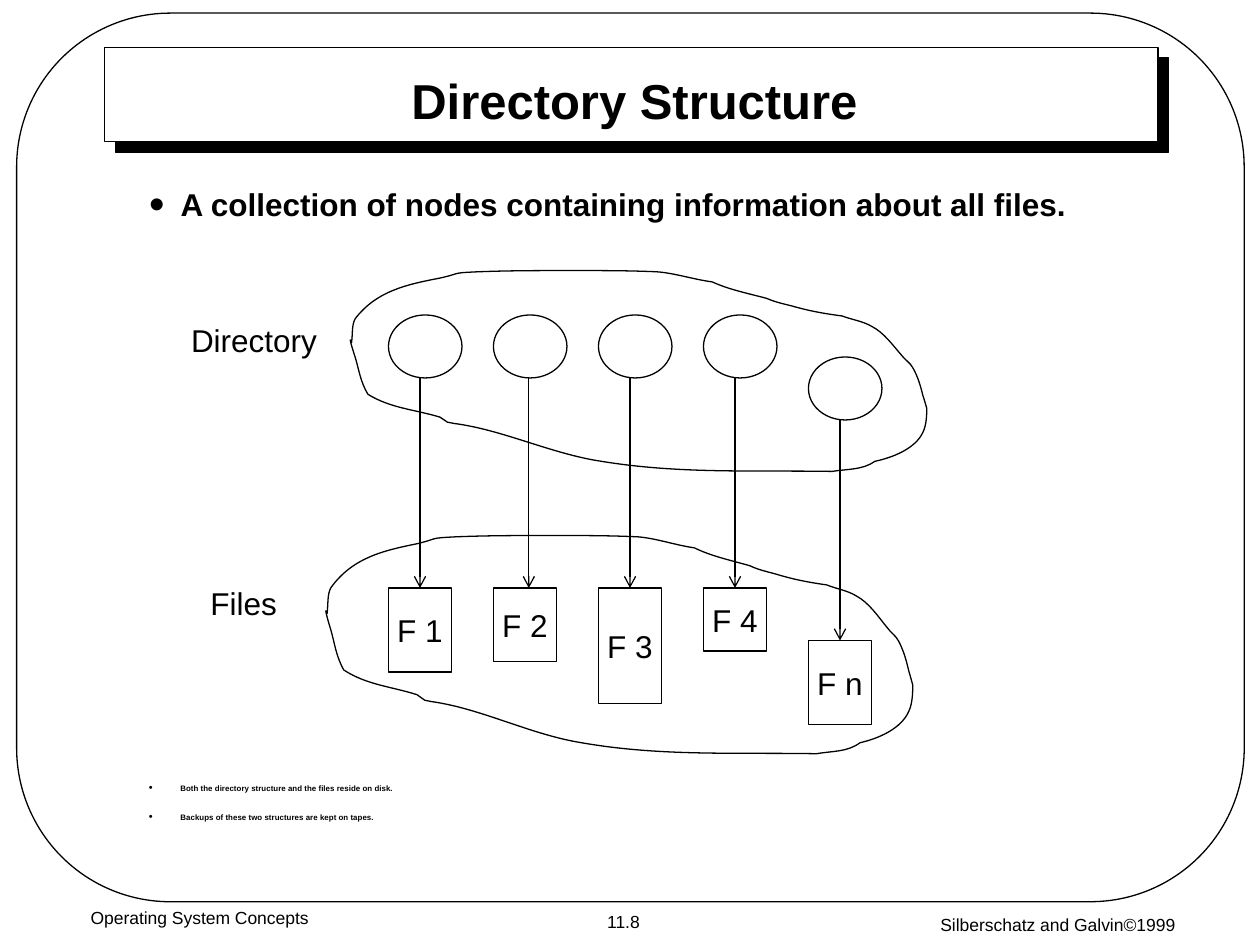
from lxml.etree import SubElement
from pptx import Presentation
from pptx.dml.color import RGBColor
from pptx.enum.shapes import MSO_CONNECTOR as CONNECTOR, MSO_SHAPE as SHAPE
from pptx.enum.text import MSO_ANCHOR as ANCHOR, MSO_AUTO_SIZE as AUTO, PP_ALIGN as ALIGN
from pptx.oxml.ns import qn
from pptx.util import Pt

COLORS = {"ink": "000000", "paper": "FFFFFF"}
LINE_WIDTH = 0.75
CLOUD_SIZE = (457, 160)
CLOUD_START = (1, 57)
CLOUD_CURVES = [
    (2, 50, 1, 43, 4, 38), (21, 16, 45, 11, 71, 6), (89, 2, 79, 2, 101, 1),
    (126, 0, 151, 0, 177, 0), (199, 0, 221, 0, 243, 1), (257, 2, 272, 7, 287, 9),
    (300, 15, 315, 18, 330, 22), (337, 25, 342, 26, 350, 28), (364, 32, 375, 34, 390, 36),
    (398, 39, 406, 40, 413, 44), (423, 49, 430, 59, 437, 67), (440, 71, 444, 73, 446, 77),
    (450, 84, 452, 91, 454, 99), (455, 102, 457, 109, 457, 109),
    (457, 113, 457, 122, 454, 128), (448, 141, 430, 148, 416, 151),
    (406, 158, 394, 157, 382, 159), (318, 158, 260, 161, 199, 151),
    (159, 145, 121, 126, 82, 121), (80, 121, 79, 120, 77, 120),
    (75, 119, 73, 117, 71, 116), (51, 110, 32, 109, 14, 98), (8, 88, 7, 79, 4, 69),
    (4, 69, 0, 57, 0, 55), (0, 54, 1, 56, 1, 57),
]
FILES = [
    ("F 1", 180, 336, 48, 240),
    ("F 2", 180, 336, 42, 302.2),
    ("F 3", 180, 336, 66, 360),
    ("F 4", 180, 336, 36, 420),
    ("F n", 204, 366, 48, 480),
]


def rgb(name):
    return RGBColor.from_string(COLORS[name])


def box(left, top, width, height):
    return Pt(left), Pt(top), Pt(width), Pt(height)


def place(sp, *bounds):
    for name, value in zip(("left", "top", "width", "height"), box(*bounds)):
        setattr(sp, name, value)


def outline(sp, fill="paper"):
    sp.shadow.inherit = False
    sp.line.color.rgb = rgb("ink")
    sp.line.width = Pt(LINE_WIDTH)
    if fill:
        sp.fill.solid()
        sp.fill.fore_color.rgb = rgb(fill)
    else:
        sp.fill.background()
    return sp


def add_outlined(s, kind, bounds, fill="paper"):
    return outline(s.shapes.add_shape(kind, *box(*bounds)), fill)


def add_bullet(p):
    pPr = p._p.get_or_add_pPr()
    pPr.set("marL", str(Pt(18)))
    pPr.set("indent", str(-Pt(18)))
    color = SubElement(pPr, qn("a:buClr"))
    SubElement(color, qn("a:srgbClr"), val=COLORS["ink"])
    SubElement(pPr, qn("a:buSzPct"), val="140000")
    SubElement(pPr, qn("a:buFont"), typeface="Arial")
    SubElement(pPr, qn("a:buChar"), char="•")


def write(sp, lines, size, bold=False, align=ALIGN.CENTER, anchor=ANCHOR.MIDDLE,
          wrap=True, auto=AUTO.NONE, before=0, bullets=False):
    tf = sp.text_frame
    frame = {"word_wrap": wrap, "auto_size": auto, "vertical_anchor": anchor}
    for name, value in frame.items():
        setattr(tf, name, value)
    for i, line in enumerate(lines):
        p = tf.add_paragraph() if i else tf.paragraphs[0]
        p.alignment = align
        p.space_before = Pt(before)
        if bullets:
            add_bullet(p)
        r = p.add_run()
        r.text = line
        r.font.color.rgb = rgb("ink")
        for name, value in {"name": "Arial", "size": Pt(size), "bold": bold}.items():
            setattr(r.font, name, value)


def add_label(s, text, bounds, size, **format_values):
    write(s.shapes.add_textbox(*box(*bounds)), [text], size, **format_values)


def add_title(s, text):
    title = s.shapes.title
    bar = add_outlined(s, SHAPE.RECTANGLE, (59.8, 27, 602, 54))
    effects = bar._element.spPr.find(qn("a:effectLst"))
    shadow = SubElement(effects, qn("a:outerShdw"), blurRad="0", dist=str(Pt(8.5)),
                        dir="2700000", algn="ctr", rotWithShape="0")
    SubElement(shadow, qn("a:srgbClr"), val=COLORS["ink"])
    title._element.addprevious(bar._element)
    place(title, 91.5, 39, 542, 36)
    write(title, [text], 28, bold=True)


def add_bullets(sp, lines, size):
    write(sp, lines, size, bold=True, align=ALIGN.LEFT, anchor=ANCHOR.TOP,
          before=11.2, bullets=True)


def add_arrow(s, x, top, bottom):
    line = s.shapes.add_connector(CONNECTOR.STRAIGHT, Pt(x), Pt(top), Pt(x), Pt(bottom))
    line.line.color.rgb = rgb("ink")
    line.line.width = Pt(LINE_WIDTH)
    SubElement(line.line._get_or_add_ln(), qn("a:tailEnd"), type="arrow")
    SubElement(line._element.spPr, qn("a:effectLst"))


def add_path_step(outline_path, tag, values):
    step = SubElement(outline_path, qn(tag))
    for x, y in zip(values[::2], values[1::2]):
        SubElement(step, qn("a:pt"), x=str(x), y=str(y))


def add_cloud(s, *bounds):
    builder = s.shapes.build_freeform(0, 0)
    builder.add_line_segments([CLOUD_SIZE])
    cloud = outline(builder.convert_to_shape(), fill=None)
    place(cloud, *bounds)
    curve = next(cloud._element.iter(qn("a:path")))
    for step in list(curve):
        curve.remove(step)
    for name, value in zip("wh", CLOUD_SIZE):
        curve.set(name, str(value))
    add_path_step(curve, "a:moveTo", CLOUD_START)
    for values in CLOUD_CURVES:
        add_path_step(curve, "a:cubicBezTo", values)
    SubElement(curve, qn("a:close"))


def add_file(s, column, name, node_top, file_top, file_height, arrow_x):
    x = 222 + 60 * column
    add_outlined(s, SHAPE.OVAL, (x, node_top, 42, 36))
    file = add_outlined(s, SHAPE.RECTANGLE, (x, file_top, 36, file_height))
    write(file, [name], 18, wrap=False)
    add_arrow(s, arrow_x, node_top + 36, file_top)


def add_frame(s):
    frame = add_outlined(s, SHAPE.ROUNDED_RECTANGLE, (9.5, 7.5, 701.5, 507.8), fill=None)
    frame.adjustments[0] = 0.173
    s.shapes.title._element.addprevious(frame._element)
    add_label(s, "Operating System Concepts", (0, 515, 228, 25), 10, anchor=ANCHOR.TOP)
    add_label(s, "11.8", (319.5, 517, 73.5, 19.4), 10, wrap=False)
    add_label(s, "Silberschatz and Galvin©1999", (490.4, 519, 228, 21), 10,
              anchor=ANCHOR.TOP)


def main():
    prs = Presentation()
    prs.slide_width, prs.slide_height = Pt(720), Pt(540)
    s = prs.slides.add_slide(prs.slide_layouts[1])
    add_frame(s)
    add_title(s, "Directory Structure")
    body = s.placeholders[1]
    place(body, 78, 102, 554, 30)
    add_bullets(body, ["A collection of nodes containing information about all files."], 18)
    for column, file in enumerate(FILES):
        add_file(s, column, *file)
    add_cloud(s, 200.2, 154.6, 329.4, 115.5)
    add_cloud(s, 186.2, 306, 335.4, 125.5)
    for text, bounds in (("Directory", (102, 180, 86.4, 29)), ("Files", (113, 330, 52.6, 29))):
        add_label(s, text, bounds, 18, wrap=False, auto=AUTO.SHAPE_TO_FIT_TEXT)
    add_bullets(s.shapes.add_textbox(*box(78, 444, 554, 30)), [
        "Both the directory structure and the files reside on disk.",
        "Backups of these two structures are kept on tapes.",
    ], 4.5)
    prs.save("out.pptx")


if __name__ == "__main__":
    main()
